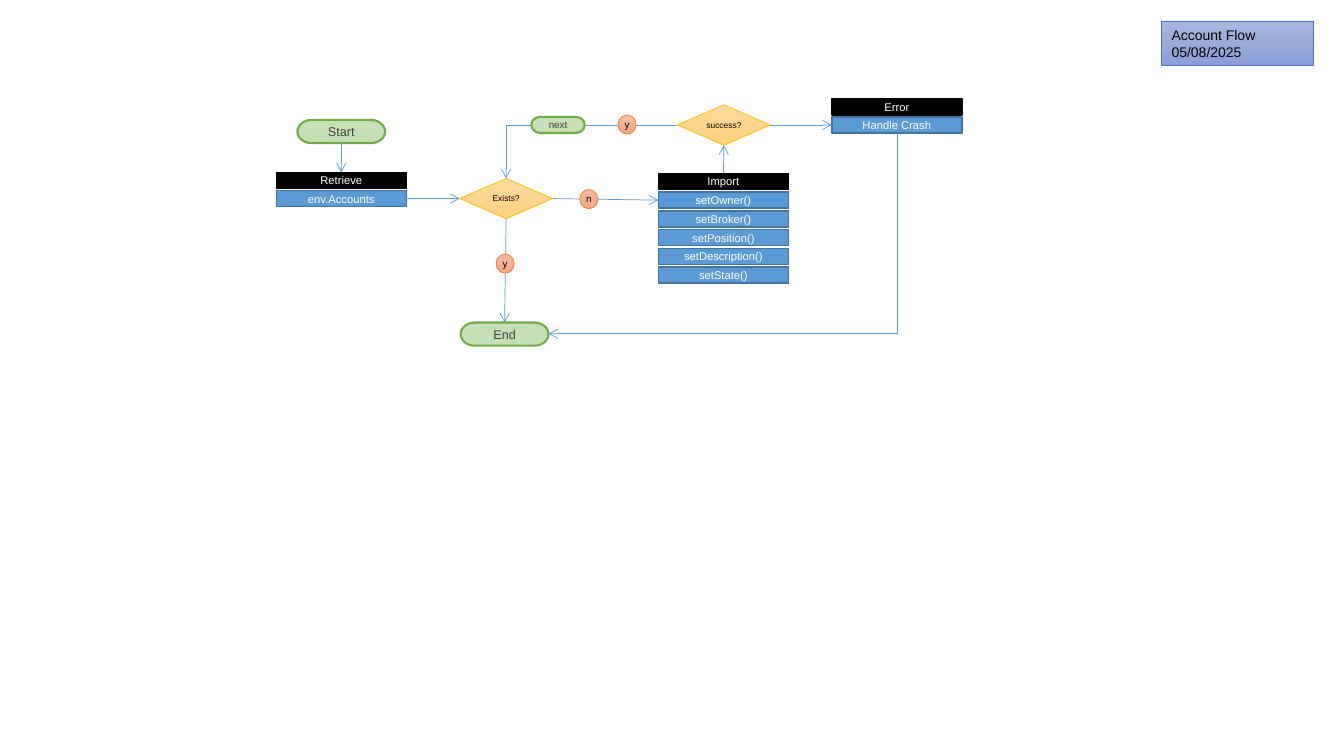
import copy

import pptx
import pptx.dml.color
import pptx.enum.shapes
import pptx.enum.text
import pptx.oxml.ns
import pptx.oxml.xmlchemy
import pptx.util

Inches = pptx.util.Inches
Pt = pptx.util.Pt
SHAPES = pptx.enum.shapes.MSO_SHAPE
CONNECTORS = pptx.enum.shapes.MSO_CONNECTOR
ALIGN = pptx.enum.text.PP_ALIGN
ANCHOR = pptx.enum.text.MSO_ANCHOR
qn = pptx.oxml.ns.qn
OxmlElement = pptx.oxml.xmlchemy.OxmlElement

TOP, LEFT, BOTTOM, RIGHT = range(4)
BLACK, WHITE, GRAY = "000000", "FFFFFF", "404040"
BLUE, DARK_BLUE = "5B9BD5", "43739E"
LIGHT_GREEN, GREEN = "C5E0B4", "70AD47"
YELLOW_FADE = ["FFDB9E", "FFD590", "FFD07C"]
ORANGE_FADE = ["F7BDA5", "F5B196", "F8A582"]
INDIGO_FADE = ["A8B7DF", "9AABD9", "889ED7"]
ROW_HEIGHT = 0.16


def color(value):
    """Turn a hex string into a colour."""
    return pptx.dml.color.RGBColor.from_string(value)


def paint(shape, fill, line, width):
    """Give a shape its outline and a solid fill or a three-stop vertical fade."""
    shape.line.color.rgb = color(line)
    shape.line.width = Pt(width)
    if isinstance(fill, str):
        shape.fill.solid()
        shape.fill.fore_color.rgb = color(fill)
        return
    shape.fill.gradient()
    shape.fill.gradient_angle = 270
    stop_list = next(shape._element.iter(qn("a:gsLst")))
    stop_list.insert(1, copy.deepcopy(stop_list[0]))
    for stop, position, value in zip(shape.fill.gradient_stops, (0, 0.5, 1), fill):
        stop.position = position
        stop.color.rgb = color(value)


def write(shape, text, size, font_color, align=ALIGN.CENTER, anchor=ANCHOR.MIDDLE, insets=(0, 0)):
    """Put formatted text in a shape."""
    frame = shape.text_frame
    frame.text = text
    frame.word_wrap = True
    frame.auto_size = pptx.enum.text.MSO_AUTO_SIZE.NONE
    frame.vertical_anchor = anchor
    frame.margin_left = frame.margin_right = Inches(insets[0])
    frame.margin_top = frame.margin_bottom = Inches(insets[1])
    for paragraph in frame.paragraphs:
        paragraph.alignment = align
        for run in paragraph.runs:
            run.font.name = "Arial"
            run.font.size = Pt(size)
            run.font.color.rgb = color(font_color)


def add_node(slide, kind, box, text, size, font_color, fill, line, width):
    """Add one labelled shape."""
    shape = slide.shapes.add_shape(kind, *map(Inches, box))
    shape.shadow.inherit = False
    paint(shape, fill, line, width)
    write(shape, text, size, font_color)
    return shape


def add_terminator(slide, box, text, size=9):
    """Add a green rounded start, end or step marker."""
    return add_node(slide, SHAPES.FLOWCHART_TERMINATOR, box, text, size, GRAY, LIGHT_GREEN, GREEN, 1.5)


def add_decision(slide, left, top, text):
    """Add a yellow decision diamond."""
    box = (left, top, 0.92, 0.4)
    return add_node(slide, SHAPES.FLOWCHART_DECISION, box, text, 6, BLACK, YELLOW_FADE, "FFC000", 0.5)


def add_answer(slide, left, top, text):
    """Add a round yes or no badge."""
    box = (left, top, 0.18, 0.19)
    return add_node(slide, SHAPES.OVAL, box, text, 7, BLACK, ORANGE_FADE, "ED7D31", 0.5)


def add_card(slide, box, heading, steps):
    """Spread a black heading and blue steps evenly over a box and return the rows."""
    left, top, width, height = box
    pitch = (height - ROW_HEIGHT) / len(steps)
    rows = []
    for index, text in enumerate([heading, *steps]):
        fill, line = (BLUE, DARK_BLUE) if index else (BLACK, BLACK)
        row_box = (left, top + index * pitch, width, ROW_HEIGHT)
        rows.append(add_node(slide, SHAPES.RECTANGLE, row_box, text, 8, WHITE, fill, line, 1))
    return rows


def add_arrow(slide, kind, begin, end):
    """Add a thin blue connector with an open arrowhead at its end."""
    arrow = slide.shapes.add_connector(kind, *map(Inches, (*begin, *end)))
    arrow.line.color.rgb = color(BLUE)
    arrow.line.width = Pt(0.5)
    head = OxmlElement("a:tailEnd")
    head.set("type", "arrow")
    arrow._element.spPr.find(qn("a:ln")).append(head)
    arrow._element.spPr.append(OxmlElement("a:effectLst"))
    return arrow


def join(slide, source, source_side, target, target_side):
    """Draw a straight arrow between the sides of two shapes."""
    arrow = add_arrow(slide, CONNECTORS.STRAIGHT, (0, 0), (0, 0))
    arrow.begin_connect(source, source_side)
    arrow.end_connect(target, target_side)


def add_corner_arrow(slide, begin, end, down_first=False):
    """Draw an arrow with a single right-angle bend."""
    if down_first:
        center_x, center_y = (begin[0] + end[0]) / 2, (begin[1] + end[1]) / 2
        half_run, half_drop = (begin[0] - end[0]) / 2, (end[1] - begin[1]) / 2
        begin = (center_x - half_drop, center_y - half_run)
        end = (center_x + half_drop, center_y + half_run)
    arrow = add_arrow(slide, CONNECTORS.ELBOW, begin, end)
    properties = arrow._element.spPr
    properties.find(qn("a:prstGeom")).set("prst", "bentConnector2")
    if down_first:
        properties.find(qn("a:xfrm")).set("rot", "5400000")


def add_title(slide, box, text):
    """Format the title placeholder as a shaded label."""
    title = slide.shapes.title
    title.left, title.top, title.width, title.height = map(Inches, box)
    paint(title, INDIGO_FADE, "4472C4", 0.5)
    write(title, text, 10, BLACK, ALIGN.LEFT, ANCHOR.TOP, (0.1, 0.05))


def add_flow(slide, box):
    """Draw the account flow chart from the top left corner of its box."""
    x, y = box[:2]
    start = add_terminator(slide, (x + 0.21, y + 0.21, 0.87, 0.23), "Start")
    end = add_terminator(slide, (x + 1.83, y + 2.22, 0.87, 0.23), "End")
    exists = add_decision(slide, x + 1.82, y + 0.79, "Exists?")
    success = add_decision(slide, x + 3.98, y + 0.06, "success?")
    retrieve = add_card(slide, (x, y + 0.73, 1.29, 0.34), "Retrieve", ["env.Accounts"])
    error = add_card(slide, (x + 5.51, y, 1.29, 0.34), "Error", ["Handle Crash"])
    setters = ["setOwner()", "setBroker()", "setPosition()", "setDescription()", "setState()"]
    account_import = add_card(slide, (x + 3.79, y + 0.74, 1.29, 1.09), "Import", setters)

    join(slide, start, BOTTOM, retrieve[0], TOP)
    join(slide, retrieve[1], RIGHT, exists, LEFT)
    join(slide, exists, RIGHT, account_import[1], LEFT)
    join(slide, exists, BOTTOM, end, TOP)
    join(slide, account_import[0], TOP, success, BOTTOM)
    join(slide, success, RIGHT, error[1], LEFT)
    add_corner_arrow(slide, (x + 3.98, y + 0.26), (x + 2.28, y + 0.79))
    add_corner_arrow(slide, (x + 6.16, y + 0.34), (x + 2.7, y + 2.33), down_first=True)

    add_answer(slide, x + 3.01, y + 0.9, "n")
    add_answer(slide, x + 2.18, y + 1.54, "y")
    add_answer(slide, x + 3.39, y + 0.16, "y")
    add_terminator(slide, (x + 2.53, y + 0.18, 0.53, 0.16), "next", 7)


def main():
    """Build and save the presentation."""
    presentation = pptx.Presentation()
    presentation.slide_width = Inches(13.33)
    presentation.slide_height = Inches(7.5)
    slide = presentation.slides.add_slide(presentation.slide_layouts[5])
    add_title(slide, (11.52, 0.21, 1.51, 0.44), "Account Flow\n05/08/2025")
    add_flow(slide, (2.74, 0.98, 6.8, 2.45))
    presentation.save("out.pptx")


if __name__ == "__main__":
    main()
